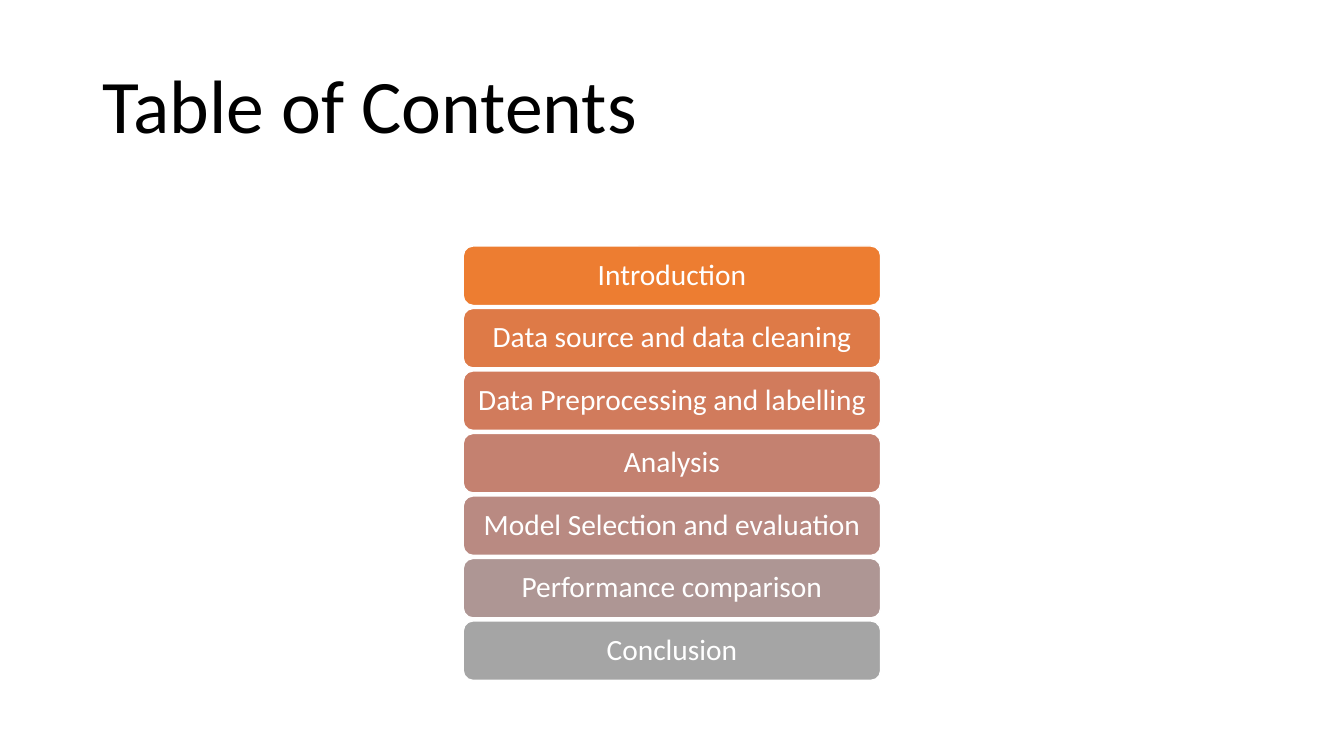
import pptx
import pptx.util
import pptx.dml.color
import pptx.enum.shapes
import pptx.enum.text
from dataclasses import dataclass

TITLE = "Table of Contents"
SECTIONS = [
    ("Introduction", "ED7D31"),
    ("Data source and data cleaning", "DE7A47"),
    ("Data Preprocessing and labelling", "D17B5C"),
    ("Analysis", "C48170"),
    ("Model Selection and evaluation", "B98A82"),
    ("Performance comparison", "AE9694"),
    ("Conclusion", "A5A5A5"),
]


@dataclass(frozen=True)
class Theme:
    font: str = "Calibri"
    title_size: int = 54
    section_size: int = 21
    title_color: str = "000000"
    section_color: str = "FFFFFF"
    outline: str = "FFFFFF"


THEME = Theme()
Inches = pptx.util.Inches
SLIDE_WIDTH, SLIDE_HEIGHT = 13.33, 7.5
SECTION_WIDTH, SECTION_HEIGHT = 4.14, 0.59
SECTION_TOP, SECTION_PITCH = 2.44, 0.62


def rgb(code):
    return pptx.dml.color.RGBColor.from_string(code)


def write_text(shape, text, size, color, align):
    frame = shape.text_frame
    frame.word_wrap = True
    frame.vertical_anchor = pptx.enum.text.MSO_ANCHOR.MIDDLE
    para = frame.paragraphs[0]
    para.text = text
    para.alignment = align
    para.line_spacing = 0.9
    para.font.name = THEME.font
    para.font.size = pptx.util.Pt(size)
    para.font.color.rgb = rgb(color)


def add_title(page):
    box = page.shapes.add_textbox(Inches(0.92), Inches(0.36), Inches(11.5), Inches(1.45))
    write_text(box, TITLE, THEME.title_size, THEME.title_color, pptx.enum.text.PP_ALIGN.LEFT)


def add_section(page, index, name, fill):
    left = (SLIDE_WIDTH - SECTION_WIDTH) / 2
    top = SECTION_TOP + index * SECTION_PITCH
    bar = page.shapes.add_shape(
        pptx.enum.shapes.MSO_SHAPE.ROUNDED_RECTANGLE,
        Inches(left), Inches(top), Inches(SECTION_WIDTH), Inches(SECTION_HEIGHT),
    )
    bar.shadow.inherit = False
    bar.fill.solid()
    bar.fill.fore_color.rgb = rgb(fill)
    bar.line.color.rgb = rgb(THEME.outline)
    bar.line.width = pptx.util.Pt(1)
    frame = bar.text_frame
    frame.margin_left = frame.margin_right = Inches(0.09)
    frame.margin_top = frame.margin_bottom = Inches(0.04)
    write_text(bar, name, THEME.section_size, THEME.section_color, pptx.enum.text.PP_ALIGN.CENTER)


def main():
    deck = pptx.Presentation()
    deck.slide_width = Inches(SLIDE_WIDTH)
    deck.slide_height = Inches(SLIDE_HEIGHT)
    page = deck.slides.add_slide(deck.slide_layouts[6])
    add_title(page)
    for index, (name, fill) in enumerate(SECTIONS):
        add_section(page, index, name, fill)
    deck.save("out.pptx")


if __name__ == "__main__":
    main()
